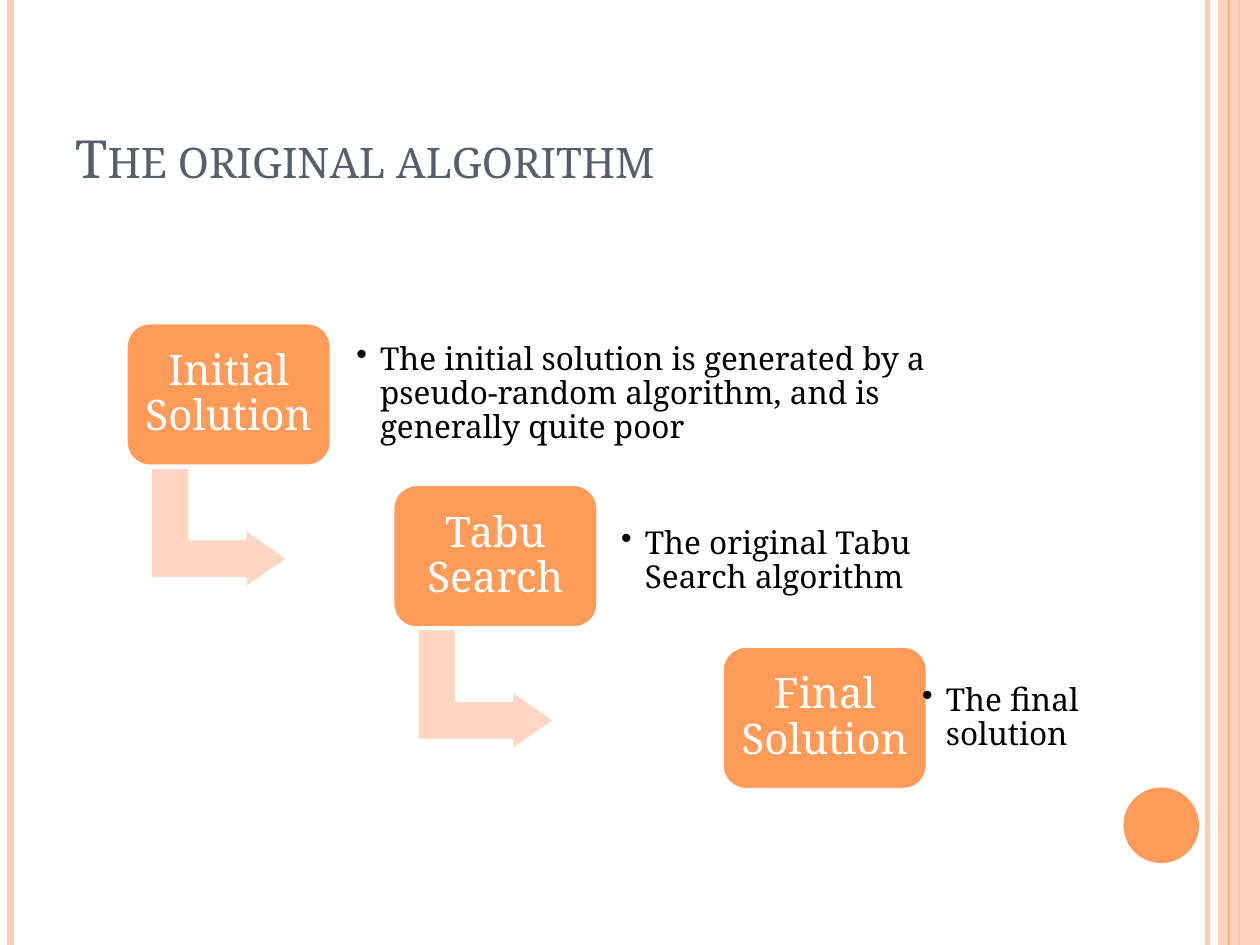
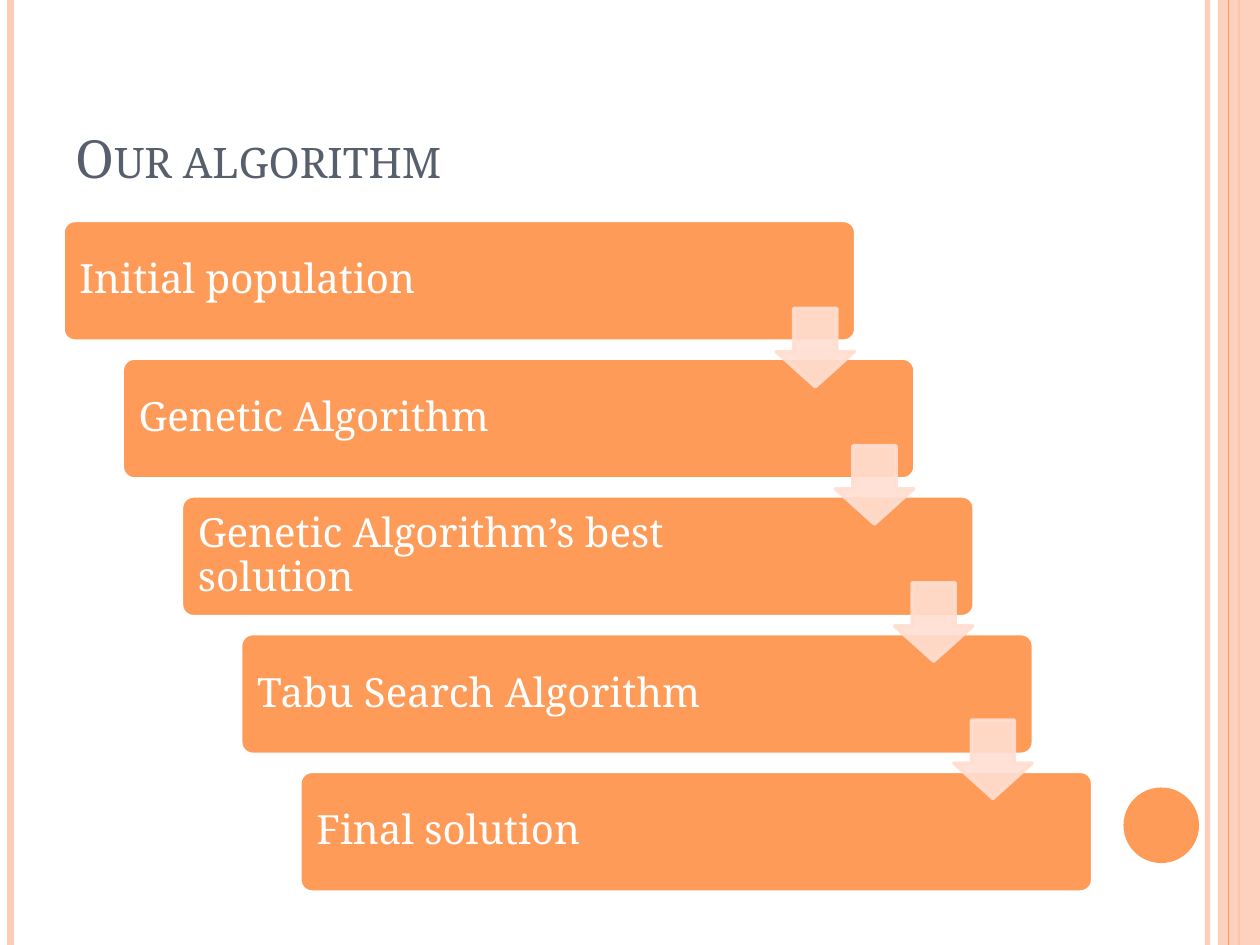
"""Build two slides that compare the original and the new search algorithm."""
from lxml.etree import SubElement
from pptx import Presentation
from pptx.dml.color import RGBColor
from pptx.enum.shapes import MSO_CONNECTOR, MSO_SHAPE
from pptx.enum.text import MSO_ANCHOR, PP_ALIGN
from pptx.oxml.ns import qn
from pptx.util import Pt

FONT = "Noto Serif"
ORANGE = "FE9B58"
PEACH = "FECBB5"
ELBOW = "FFD5C4"
PALE = "FFDED1"
SLATE = "575F6D"
WHITE = "FFFFFF"
BLACK = "000000"
WIDTH, HEIGHT = 720, 540


def paint(fill, color, opacity=100):
    """Fill a shape, line or font with a solid colour."""
    fill.solid()
    fill.fore_color.rgb = RGBColor.from_string(color)
    if opacity < 100:
        value = fill._xPr.find(qn("a:solidFill"))[0]
        SubElement(value, qn("a:alpha")).set("val", str(opacity * 1000))


def write(shape, text, size=24, color=WHITE, align=PP_ALIGN.LEFT, anchor=MSO_ANCHOR.MIDDLE,
          insets=(7.2, 3.6, 7.2, 3.6), spacing=0.9, bullet=False, small_caps=False):
    """Put one formatted paragraph in a shape."""
    frame = shape.text_frame
    frame.word_wrap = True
    frame.vertical_anchor = anchor
    frame.margin_left, frame.margin_top, frame.margin_right, frame.margin_bottom = map(Pt, insets)
    paragraph = frame.paragraphs[0]
    paragraph.alignment = align
    paragraph.line_spacing = spacing
    run = paragraph.add_run()
    run.text = text
    run.font.name = FONT
    run.font.size = Pt(size)
    paint(run.font.fill, color)
    if small_caps:
        run.font._element.set("cap", "small")
    if bullet:
        properties = paragraph._p.get_or_add_pPr()
        properties.set("marL", str(Pt(13.5)))
        properties.set("indent", str(Pt(-13.5)))
        SubElement(properties, qn("a:buChar")).set("char", "•")


presentation = Presentation()
presentation.slide_width = Pt(WIDTH)
presentation.slide_height = Pt(HEIGHT)

slides = []
for title in ("The original algorithm", "Our algorithm"):
    slide = presentation.slides.add_slide(presentation.slide_layouts[6])
    slides.append(slide)
    paint(slide.background.fill, WHITE)

    band = slide.shapes.add_shape(MSO_SHAPE.RECTANGLE, Pt(696), 0, Pt(24), Pt(HEIGHT))
    paint(band.fill, PEACH, 87)
    band.line.fill.background()
    for x, color, weight, opacity in (
        (690, PEACH, 3, 93), (6, PEACH, 4.5, 100), (708, ORANGE, 1.5, 100), (702, ORANGE, 0.75, 100),
    ):
        stripe = slide.shapes.add_connector(MSO_CONNECTOR.STRAIGHT, Pt(x), 0, Pt(x), Pt(HEIGHT))
        stripe.line.width = Pt(weight)
        paint(stripe.line.fill, color, opacity)
        if x == 708:
            slide.shapes._spTree.remove(band._element)
            slide.shapes._spTree.append(band._element)

    disc = slide.shapes.add_shape(MSO_SHAPE.OVAL, Pt(642), Pt(450), Pt(43.2), Pt(43.2))
    paint(disc.fill, ORANGE)
    disc.line.fill.background()

    heading = slide.shapes.add_textbox(Pt(36), Pt(21.6), Pt(588), Pt(90))
    write(heading, title, size=30, color=SLATE, anchor=MSO_ANCHOR.BOTTOM, spacing=1.0, small_caps=True)

original, improved = slides

stages = (
    (72, "Initial Solution", 198.7, 8, 392.4,
     "The initial solution is generated by a pseudo-random algorithm, and is generally quite poor"),
    (224.4, "Tabu Search", 350, 10.8, 226, "The original Tabu Search algorithm"),
    (412.6, "Final Solution", 522, 8, 101.5, "The final solution"),
)
for index, (left, name, caption_left, caption_drop, caption_width, caption) in enumerate(stages):
    top = 184.4 + 92.4 * index
    if index < len(stages) - 1:
        elbow = original.shapes.add_shape(
            MSO_SHAPE.BENT_UP_ARROW, Pt(left + 18.5), Pt(top + 77.8), Pt(69.8), Pt(79.2))
        elbow.rotation = 90
        for position, value in enumerate((0.328, 0.25, 0.358)):
            elbow.adjustments[position] = value
        paint(elbow.fill, ELBOW)
        paint(elbow.line.fill, WHITE)
        elbow.line.width = Pt(2)

    box = original.shapes.add_shape(MSO_SHAPE.ROUNDED_RECTANGLE, Pt(left), Pt(top), Pt(117.4), Pt(82))
    paint(box.fill, ORANGE)
    paint(box.line.fill, WHITE)
    box.line.width = Pt(2)
    box.adjustments[0] = 0.167
    write(box, name, align=PP_ALIGN.CENTER, insets=(7.2,) * 4)

    note = original.shapes.add_textbox(
        Pt(caption_left), Pt(top + caption_drop), Pt(caption_width), Pt(66))
    write(note, caption, size=18, color=BLACK, insets=(5,) * 4, bullet=True)

steps = (
    "Initial population",
    "Genetic Algorithm",
    "Genetic Algorithm’s best solution",
    "Tabu Search Algorithm",
    "Final solution",
)
STEP_RIGHT, STEP_DOWN = 33.84, 78.7
for index, step in enumerate(steps):
    bar = improved.shapes.add_shape(
        MSO_SHAPE.ROUNDED_RECTANGLE,
        Pt(36 + STEP_RIGHT * index), Pt(126 + STEP_DOWN * index), Pt(453), Pt(69))
    bar.adjustments[0] = 0.1
    paint(bar.fill, ORANGE)
    paint(bar.line.fill, WHITE)
    bar.line.width = Pt(2)
    write(bar, step, size=23, insets=(7.4, 7.2, 88, 7.2))

for index in range(len(steps) - 1):
    arrow = improved.shapes.add_shape(
        MSO_SHAPE.DOWN_ARROW,
        Pt(443.5 + STEP_RIGHT * index), Pt(176.3 + 78.4 * index), Pt(44.8), Pt(44.8))
    arrow.adjustments[0] = 0.55
    arrow.adjustments[1] = 0.45
    paint(arrow.fill, PALE, 90)
    paint(arrow.line.fill, PALE, 90)
    arrow.line.width = Pt(2)

for slide in slides:
    for shape in slide.shapes:
        SubElement(shape._element.spPr, qn("a:effectLst"))

presentation.save("out.pptx")
